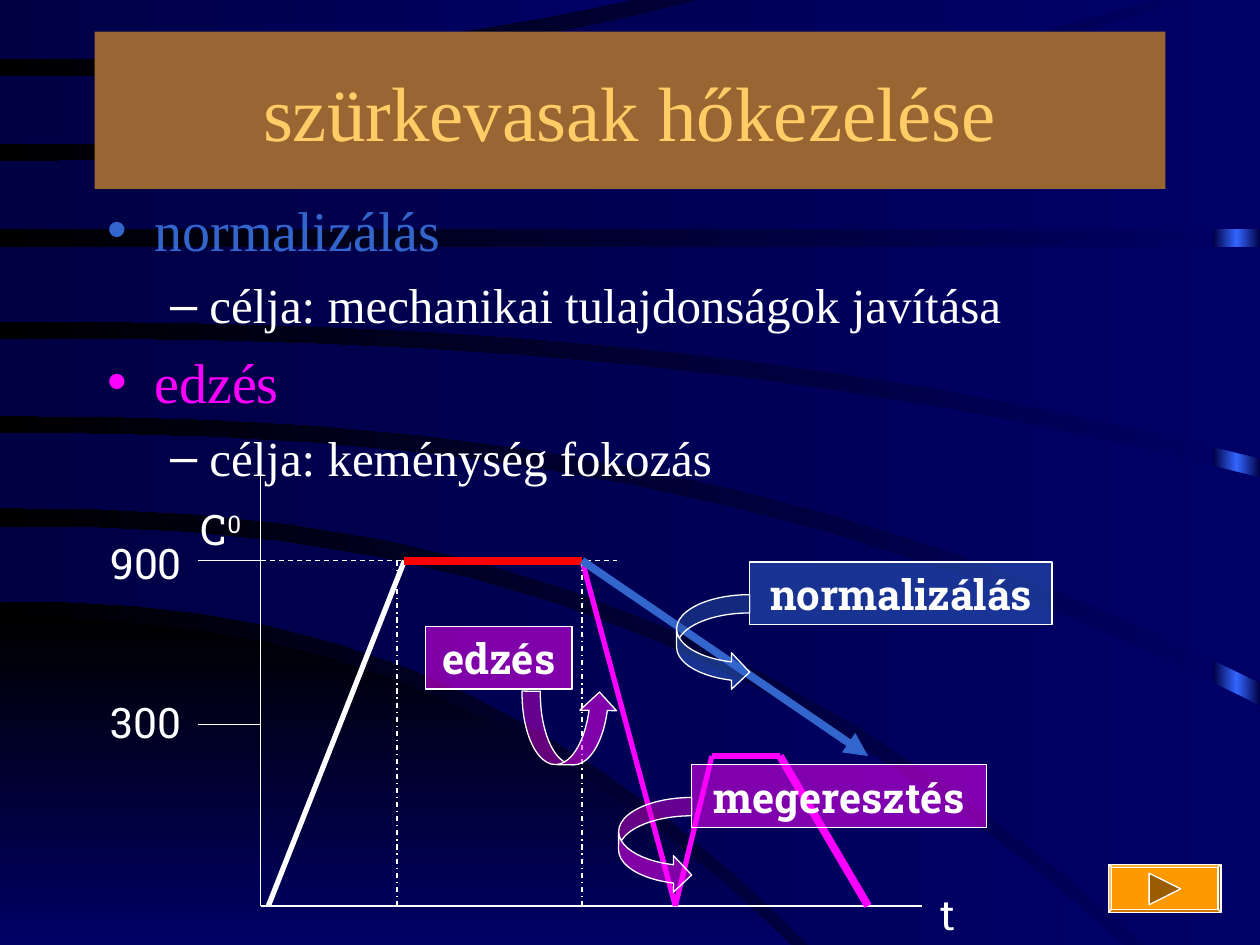
from copy import deepcopy
from lxml.etree import SubElement
from pptx import Presentation
from pptx.dml.color import RGBColor
from pptx.enum.dml import MSO_LINE
from pptx.enum.shapes import MSO_CONNECTOR, MSO_SHAPE
from pptx.enum.text import MSO_ANCHOR, MSO_AUTO_SIZE, PP_ALIGN
from pptx.oxml.ns import qn
from pptx.util import Inches, Pt

COLORS = {
    "navy": "000066", "deep": "000044", "black": "000000", "white": "FFFFFF",
    "blue": "3366CC", "bright": "3366FF", "magenta": "FF00FF", "red": "FF0000",
    "brown": "996633", "gold": "FFCC66", "orange": "FF9900", "umber": "995C00",
}
TITLE = "szürkevasak hőkezelése"
BULLETS = [
    (0, "normalizálás", "blue"),
    (1, "célja: mechanikai tulajdonságok javítása", "white"),
    (0, "edzés", "magenta"),
    (1, "célja: keménység fokozás", "white"),
]
BULLET_SIZES = {0: (32, 8), 1: (28, 7)}
WIDE, HIGH = 10, 7.5

CURVATURE, STEPS = 2.4, 12
CORNER = ((4.91, 6.28, HIGH), (HIGH, 6.28, HIGH))
BANDS = [
    ((4.18, 8.93, HIGH), (4.77, 6.42, HIGH)),
    ((3.44, WIDE, 5.6), (4.03, 9.09, HIGH)),
    ((2.69, WIDE, 3.79), (3.3, WIDE, 5.42)),
    ((1.96, WIDE, 1.96), (2.55, WIDE, 3.64)),
    ((1.28, 9.43, 0), (1.82, WIDE, 1.82)),
    ((0.61, 5.56, 0), (1.14, 9.17, 0)),
    ((0, 5.01, 0), (0.47, 5.01, 0)),
]

ORIGIN, BASE, TOP, LOW, TEMPER = 2.07, 7.19, 4.45, 5.75, 6
HEATED, COOLING, QUENCHED, HELD, END = 3.21, 4.62, 5.36, 6.19, 6.89
THIN, MEDIUM, THICK = 0.75, 3, 4.5
LINES = [
    ((ORIGIN, 3.72), (ORIGIN, BASE), "white", THIN, None),
    ((ORIGIN, BASE), (7.32, BASE), "white", THIN, None),
    ((ORIGIN, TOP), (4.9, TOP), "white", THIN, MSO_LINE.DASH),
    *[((1.57, level), (ORIGIN, level), "white", THIN, None) for level in (LOW, TOP)],
    ((2.13, BASE), (HEATED, TOP), "white", MEDIUM, None),
    ((COOLING, TOP), (QUENCHED, BASE), "magenta", MEDIUM, None),
    ((HELD, TEMPER), (END, BASE), "magenta", THICK, None),
    *[((moment, TOP), (moment, BASE), "white", THIN, MSO_LINE.DASH_DOT)
      for moment in (COOLING, 3.15)],
    ((HEATED, TOP), (COOLING, TOP), "red", THICK, None),
    ((QUENCHED, BASE), (5.65, TEMPER), "magenta", MEDIUM, None),
    ((5.65, TEMPER), (HELD, TEMPER), "magenta", MEDIUM, None),
]
NORMALIZING = ((COOLING, TOP), (END, TEMPER), "blue", THICK, None)
LABEL_HEIGHT = 0.5
AXIS_LABELS = [
    ("900", "", 0.75, 4.22, 0.82), ("300", "", 0.75, 5.48, 0.82),
    ("C", "0", 1.41, 3.95, 0.69), ("t", "", 7.37, 7, 0.2),
]
SIDE, BELOW = (-0.58, 0.26, 0), (0.85, 0.43, 270.8)
CALLOUTS = [
    ("normalizálás", "blue", 5.95, 4.46, 2.4, SIDE),
    ("edzés", "magenta", 3.38, 4.97, 1.16, BELOW),
    ("megeresztés", "magenta", 5.49, 6.07, 2.34, SIDE),
]


def color(name):
    return RGBColor.from_string(COLORS[name])


def apply(target, values):
    for name, value in values.items():
        setattr(target, name, value)


def style_font(font, name, size, shade, bold=False):
    apply(font, {"name": name, "size": Pt(size), "bold": bold})
    font.color.rgb = color(shade)


def paint_gradient(fill, names, angle=180):
    fill.gradient()
    fill.gradient_angle = angle
    for stop, name in zip(fill.gradient_stops, names):
        stop.color.rgb = color(name)


def paint(shape, shade, alpha=None, outline="white"):
    shape.shadow.inherit = False
    shape.fill.solid()
    shape.fill.fore_color.rgb = color(shade)
    if alpha:
        swatch = shape._element.spPr.find(qn("a:solidFill"))[0]
        SubElement(swatch, qn("a:alpha"), val=str(alpha * 1000))
    if outline:
        shape.line.color.rgb = color(outline)
        shape.line.width = Pt(THIN)
    else:
        shape.line.fill.background()


def trace_edge(start, reach, end):
    parts = [step / STEPS for step in range(STEPS + 1)]
    return [(reach * part, start + (end - start) * part ** CURVATURE) for part in parts]


def add_band(shapes, edges, names, angle=180):
    upper, lower = edges
    points = trace_edge(*upper)
    if upper[1] != lower[1] and WIDE in (upper[1], lower[1]):
        points.append((WIDE, min(edges, key=lambda edge: edge[1])[2]))
    points += reversed(trace_edge(*lower))
    corners = [(Inches(x), Inches(y)) for x, y in points]
    builder = shapes.build_freeform(*corners[0])
    builder.add_line_segments(corners[1:])
    band = builder.convert_to_shape()
    band.shadow.inherit = False
    band.line.fill.background()
    paint_gradient(band.fill, names, angle)


def add_line(shapes, start, end, shade, width, dash, arrow=False):
    ends = [Inches(value) for value in start + end]
    line = shapes.add_connector(MSO_CONNECTOR.STRAIGHT, *ends)
    line.line.color.rgb = color(shade)
    apply(line.line, {"width": Pt(width), "dash_style": dash})
    if arrow:
        SubElement(line._element.spPr.find(qn("a:ln")), qn("a:tailEnd"), type="triangle")
    SubElement(line._element.spPr, qn("a:effectLst"))


def write_label(box, text, raised="", bold=False):
    apply(box.text_frame, {"word_wrap": False, "vertical_anchor": MSO_ANCHOR.MIDDLE})
    para = box.text_frame.paragraphs[0]
    para.alignment = PP_ALIGN.CENTER
    for part in filter(None, (text, raised)):
        span = para.add_run()
        span.text = part
        style_font(span.font, "Roboto Slab", 24, "white", bold)
    if raised:
        span.font._element.set("baseline", "30000")


def add_preset(shapes, kind, left, top, width, height):
    return shapes.add_shape(kind, *map(Inches, (left, top, width, height)))


def place(shape, left, top, width, height):
    apply(shape, {"left": Inches(left), "top": Inches(top),
                  "width": Inches(width), "height": Inches(height)})


def add_backdrop(page):
    paint_gradient(page.background.fill, ("navy", "black"))
    strip = add_preset(page.shapes, MSO_SHAPE.RECTANGLE, 9.63, 0, 0.37, HIGH)
    strip.shadow.inherit = False
    strip.line.fill.background()
    paint_gradient(strip.fill, ("deep", "bright"))
    stops = strip._element.spPr.find(qn("a:gradFill")).find(qn("a:gsLst"))
    stops[1].set("pos", "50000")
    last = deepcopy(stops[0])
    last.set("pos", "100000")
    stops.append(last)
    add_band(page.shapes, CORNER, ("black", "navy"), 270)
    for edges in BANDS:
        add_band(page.shapes, edges, ("navy", "deep"))


def add_headings(page):
    title, body = page.shapes.title, page.placeholders[1]
    for holder in (title, body):
        page.shapes._spTree.append(holder._element)
        holder.text_frame.auto_size = MSO_AUTO_SIZE.NONE
    place(title, 0.75, 0.25, 8.5, 1.25)
    place(body, 0.75, 1.5, 8.5, 4.5)
    paint(title, "brown", outline=None)
    title.text_frame.text = TITLE
    style_font(title.text_frame.paragraphs[0].font, "Times New Roman", 44, "gold")
    frame = body.text_frame
    for index, (level, text, shade) in enumerate(BULLETS):
        para = frame.add_paragraph() if index else frame.paragraphs[0]
        size, gap = BULLET_SIZES[level]
        apply(para, {"text": text, "level": level, "space_before": Pt(gap if index else 0)})
        style_font(para.font, "Times New Roman", size, shade)


def add_diagram(shapes):
    for line in LINES:
        add_line(shapes, *line)
    add_line(shapes, *NORMALIZING, arrow=True)
    for text, raised, left, top, width in AXIS_LABELS:
        box = shapes.add_textbox(*map(Inches, (left, top, width, LABEL_HEIGHT)))
        write_label(box, text, raised)
    for text, shade, left, top, width, (shift, drop, turn) in CALLOUTS:
        arrow = add_preset(shapes, MSO_SHAPE.CURVED_RIGHT_ARROW,
                           left + shift, top + drop, 0.58, 0.76)
        arrow.rotation = turn
        label = add_preset(shapes, MSO_SHAPE.RECTANGLE, left, top, width, LABEL_HEIGHT)
        for shape in (arrow, label):
            paint(shape, shade, 50)
        write_label(label, text, bold=True)


def add_button(shapes):
    button = add_preset(shapes, MSO_SHAPE.BEVEL, 8.8, 6.86, 0.89, 0.38)
    button.adjustments[0] = 0.06
    paint(button, "orange")
    pointer = add_preset(shapes, MSO_SHAPE.ISOSCELES_TRIANGLE, 9.12, 6.93, 0.25, 0.25)
    pointer.rotation = 90
    paint(pointer, "umber")


deck = Presentation()
apply(deck, {"slide_width": Inches(WIDE), "slide_height": Inches(HIGH)})
page = deck.slides.add_slide(deck.slide_layouts[1])
add_backdrop(page)
add_headings(page)
add_diagram(page.shapes)
add_button(page.shapes)
deck.save("out.pptx")
